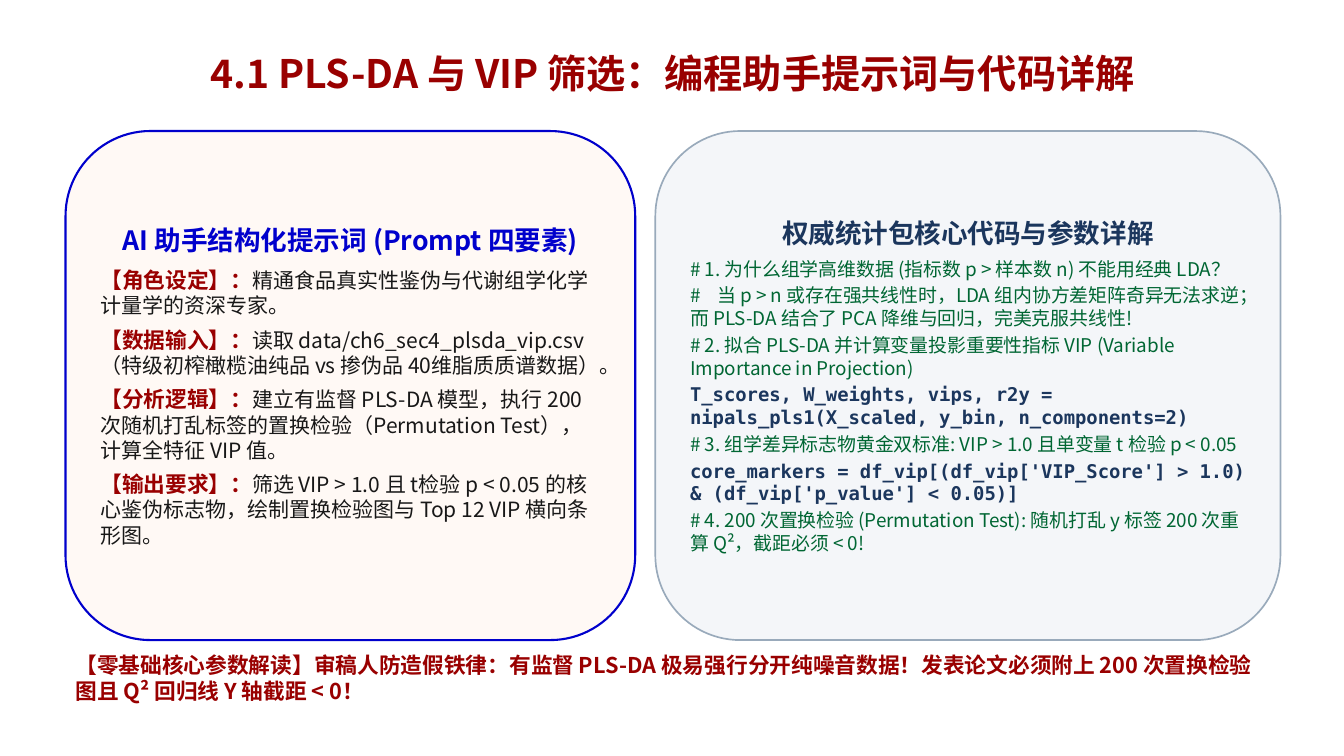
"""Build the slide on PLS-DA and VIP screening: prompt card, code card and closing rule."""
from lxml.etree import SubElement
from pptx import Presentation
from pptx.dml.color import RGBColor
from pptx.enum.shapes import MSO_SHAPE
from pptx.enum.text import MSO_ANCHOR, MSO_AUTO_SIZE, PP_ALIGN
from pptx.oxml.ns import qn
from pptx.util import Inches, Pt

SANS, MONO = "Noto Sans CJK SC", "DejaVu Sans Mono"
RED, BLUE, NAVY, GREEN, INK = "990000", "0000CC", "1B365D", "006633", "181818"

TITLE = "4.1 PLS-DA 与 VIP 筛选：编程助手提示词与代码详解"
PROMPT_HEADING = "AI 助手结构化提示词 (Prompt 四要素)"
PROMPT_PARTS = [
    ("角色设定", "精通食品真实性鉴伪与代谢组学化学计量学的资深专家。"),
    ("数据输入", "读取 data/ch6_sec4_plsda_vip.csv（特级初榨橄榄油纯品 vs 掺伪品 40维脂质质谱数据）。"),
    ("分析逻辑", "建立有监督 PLS-DA 模型，执行 200 次随机打乱标签的置换检验（Permutation Test），计算全特征 VIP 值。"),
    ("输出要求", "筛选 VIP > 1.0 且 t检验 p < 0.05 的核心鉴伪标志物，绘制置换检验图与 Top 12 VIP 横向条形图。"),
]
CODE_HEADING = "权威统计包核心代码与参数详解"
CODE_LINES = [
    "# 1. 为什么组学高维数据 (指标数 p > 样本数 n) 不能用经典 LDA？",
    "#    当 p > n 或存在强共线性时，LDA 组内协方差矩阵奇异无法求逆；而 PLS-DA 结合了 PCA 降维与回归，完美克服共线性!",
    "# 2. 拟合 PLS-DA 并计算变量投影重要性指标 VIP (Variable Importance in Projection)",
    "T_scores, W_weights, vips, r2y = nipals_pls1(X_scaled, y_bin, n_components=2)",
    "# 3. 组学差异标志物黄金双标准: VIP > 1.0 且单变量 t 检验 p < 0.05",
    "core_markers = df_vip[(df_vip['VIP_Score'] > 1.0) & (df_vip['p_value'] < 0.05)]",
    "# 4. 200 次置换检验 (Permutation Test): 随机打乱 y 标签 200 次重算 Q²，截距必须 < 0!",
]
CLOSING_RULE = ("【零基础核心参数解读】审稿人防造假铁律：有监督 PLS-DA 极易强行分开纯噪音数据！"
                "发表论文必须附上 200 次置换检验图且 Q² 回归线 Y 轴截距 < 0！")

LEFT, RIGHT, GAP = 0.65, 12.7, 0.2
CARD_TOP, CARD_HEIGHT, PROMPT_WIDTH = 1.3, 5.05, 5.65


def color(value):
    return RGBColor.from_string(value)


def add_span(para, text, size=15, ink=INK, bold=False, font=SANS):
    span = para.add_run()
    span.text = text
    span.font.size, span.font.bold, span.font.name = Pt(size), bold, font
    span.font.color.rgb = color(ink)
    SubElement(span.font._element, qn("a:ea")).set("typeface", font)


def add_para(frame, align=PP_ALIGN.LEFT, after=0):
    first = frame.paragraphs[0]
    para = frame.add_paragraph() if first.runs else first
    para.alignment, para.space_after = align, Pt(after)
    return para


def add_card(slide, left, width, fill, line, weight):
    card = slide.shapes.add_shape(MSO_SHAPE.ROUNDED_RECTANGLE, Inches(left), Inches(CARD_TOP),
                                  Inches(width), Inches(CARD_HEIGHT))
    card.shadow.inherit = False
    card.fill.solid()
    card.fill.fore_color.rgb = color(fill)
    card.line.color.rgb = color(line)
    card.line.width = Pt(weight)
    card.text_frame.word_wrap = True
    card.text_frame.vertical_anchor = MSO_ANCHOR.MIDDLE
    return card.text_frame


def main():
    deck = Presentation()
    deck.slide_width, deck.slide_height = Inches(13.33), Inches(7.5)
    slide = deck.slides.add_slide(deck.slide_layouts[5])

    title = slide.shapes.title
    title.left, title.top, title.width, title.height = map(Inches, (0.92, 0.33, 11.5, 0.84))
    title.text_frame.auto_size = MSO_AUTO_SIZE.NONE
    title.text_frame.vertical_anchor = MSO_ANCHOR.MIDDLE
    para = add_para(title.text_frame, PP_ALIGN.CENTER)
    para.line_spacing = 0.9
    add_span(para, TITLE, size=28, ink=RED, bold=True)

    prompt = add_card(slide, LEFT, PROMPT_WIDTH, "FFF9F5", BLUE, 1.5)
    add_span(add_para(prompt, PP_ALIGN.CENTER, 8), PROMPT_HEADING, size=19, ink=BLUE, bold=True)
    for label, request in PROMPT_PARTS:
        para = add_para(prompt, after=6)
        add_span(para, f"【{label}】：", size=15.5, ink=RED, bold=True)
        add_span(para, request)

    code_left = LEFT + PROMPT_WIDTH + GAP
    code = add_card(slide, code_left, RIGHT - code_left, "F4F6F9", "99AABB", 1.2)
    add_span(add_para(code, PP_ALIGN.CENTER, 6), CODE_HEADING, size=19, ink=NAVY, bold=True)
    for text in CODE_LINES:
        remark = text.startswith("#")
        add_span(add_para(code, after=3), text, size=13.5, ink=GREEN if remark else NAVY,
                 bold=not remark, font=SANS if remark else MONO)

    box = slide.shapes.add_textbox(Inches(LEFT), Inches(6.42), Inches(RIGHT - LEFT), Inches(0.65))
    box.text_frame.word_wrap = True
    box.text_frame.auto_size = MSO_AUTO_SIZE.SHAPE_TO_FIT_TEXT
    add_span(add_para(box.text_frame), CLOSING_RULE, size=15.5, ink=RED, bold=True)

    deck.save("out.pptx")


if __name__ == "__main__":
    main()
